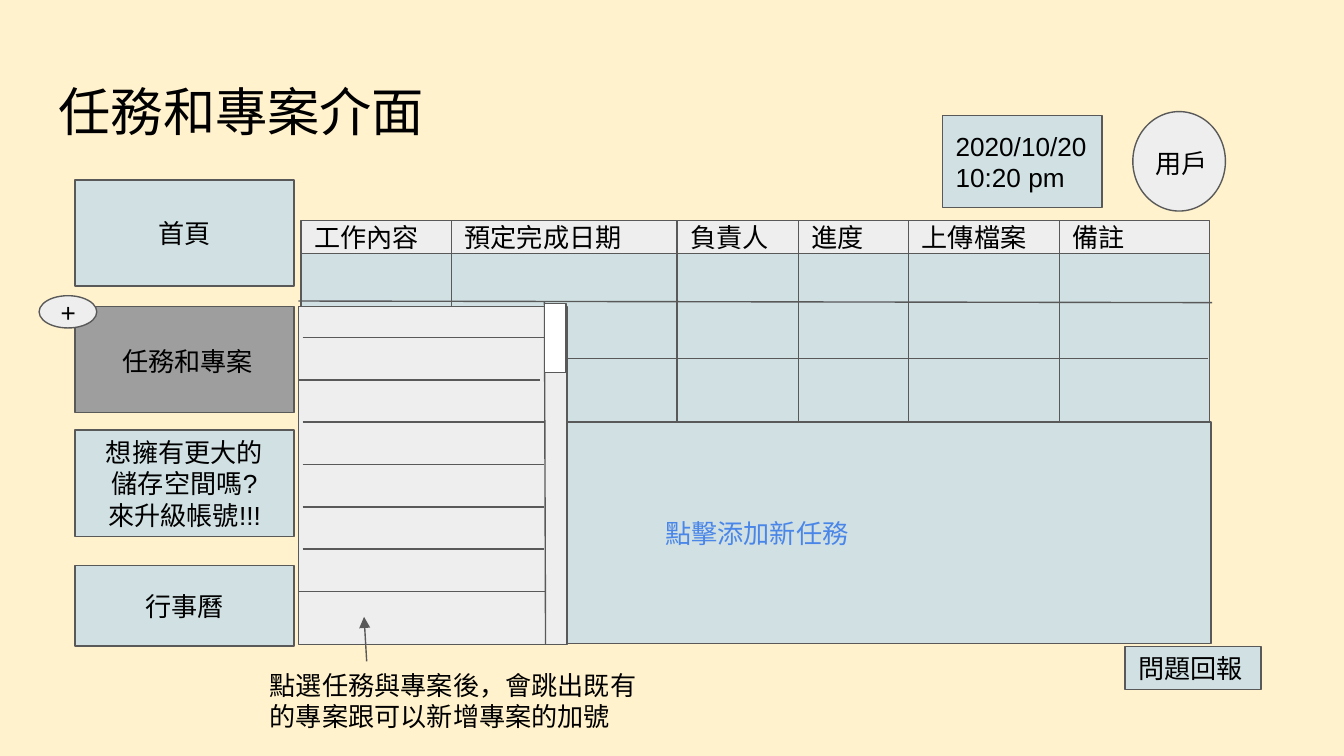
from typing import NamedTuple, Optional

from lxml import etree
from pptx import Presentation
from pptx.dml.color import RGBColor
from pptx.enum.shapes import MSO_CONNECTOR, MSO_SHAPE
from pptx.enum.text import MSO_ANCHOR, PP_ALIGN
from pptx.oxml.ns import qn
from pptx.util import Cm, Pt

RECT, OVAL = MSO_SHAPE.RECTANGLE, MSO_SHAPE.OVAL
LINE = MSO_CONNECTOR.STRAIGHT
LEFT, CENTER = PP_ALIGN.LEFT, PP_ALIGN.CENTER
TOP, MIDDLE = MSO_ANCHOR.TOP, MSO_ANCHOR.MIDDLE

CREAM = RGBColor(0xFF, 0xF2, 0xCC)
TEAL = RGBColor(0xD0, 0xE0, 0xE3)
PALE = RGBColor(0xEE, 0xEE, 0xEE)
GRAY = RGBColor(0x9E, 0x9E, 0x9E)
DARK = RGBColor(0x59, 0x59, 0x59)
WHITE = RGBColor(0xFF, 0xFF, 0xFF)
BLACK = RGBColor(0x00, 0x00, 0x00)
BLUE = RGBColor(0x4A, 0x86, 0xE8)


class Box(NamedTuple):
    """A filled box, or a bare text box when fill is None; lengths in cm."""
    x: float
    y: float
    w: float
    h: float
    text: str = ""
    fill: Optional[RGBColor] = TEAL
    align: PP_ALIGN = LEFT
    color: RGBColor = BLACK
    kind: MSO_SHAPE = RECT
    size: int = 14
    font: str = "Arial"


class Rule(NamedTuple):
    """A straight line; ends in cm."""
    x1: float
    y1: float
    x2: float
    y2: float
    arrow: bool = False


def draw_box(shapes, box: Box) -> None:
    area = [Cm(v) for v in box[:4]]
    if box.fill is None:
        shape = shapes.add_textbox(*area)
    else:
        shape = shapes.add_shape(box.kind, *area)
        shape.shadow.inherit = False
        shape.fill.solid()
        shape.fill.fore_color.rgb = box.fill
        shape.line.color.rgb = DARK
        shape.line.width = Pt(0.75)
    if not box.text:
        return
    frame = shape.text_frame
    frame.word_wrap = True
    frame.vertical_anchor = TOP if box.fill is None else MIDDLE
    frame.margin_left = frame.margin_right = Cm(0.25)
    frame.margin_top = frame.margin_bottom = Cm(0.25)
    frame.text = box.text
    for para in frame.paragraphs:
        para.alignment = box.align
        para.font.name = box.font
        para.font.size = Pt(box.size)
        para.font.color.rgb = box.color


def draw_rule(shapes, rule: Rule) -> None:
    line = shapes.add_connector(LINE, *[Cm(v) for v in rule[:4]])
    line.line.color.rgb = DARK
    line.line.width = Pt(0.75)
    if rule.arrow:
        etree.SubElement(line.line._get_or_add_ln(), qn("a:tailEnd"), type="triangle")
    etree.SubElement(line._element.spPr, qn("a:effectLst"))


def draw(shapes, items: list) -> None:
    for item in items:
        if isinstance(item, Box):
            draw_box(shapes, item)
        else:
            draw_rule(shapes, item)


# Task table: one header and one body per column
HEADS = ["工作內容", "預定完成日期", "負責人", "進度", "上傳檔案", "備註"]
EDGES = [5.69, 8.53, 12.8, 15.09, 17.17, 20.02, 22.86]
SPANS = list(zip(EDGES, EDGES[1:]))
GRID = [Box(a, 4.17, b - a, 0.62, head, PALE) for head, (a, b) in zip(HEADS, SPANS)]
GRID += [Box(a, 4.79, b - a, 7.3) for a, b in SPANS]
GRID += [
    Rule(5.64, 5.69, 22.91, 5.72),
    Rule(5.72, 6.78, 22.83, 6.78),
    Rule(5.69, 7.98, 22.86, 7.98),
]

# Side menu
SIDE, WIDE = 1.42, 4.14
MENU = [
    Box(SIDE, 5.79, WIDE, 2.01, fill=GRAY),
    Box(2.06, 6.27, 3.12, 1.52, "任務和專案", None, font="Lato"),
    Box(SIDE, 8.13, WIDE, 2.01, "想擁有更大的\n儲存空間嗎?\n來升級帳號!!!", align=CENTER),
    Box(SIDE, 10.69, WIDE, 1.52, "行事曆", align=CENTER),
    Box(SIDE, 3.4, WIDE, 2.01, "首頁", align=CENTER),
    Box(0.74, 5.59, 1.09, 0.61, "+", PALE, kind=OVAL),
]

# Clock, user and report button
TOOLS = [
    Box(21.26, 12.22, 2.57, 0.81, "問題回報"),
    Box(21.41, 2.11, 1.75, 1.88, fill=PALE, kind=OVAL),
    Box(21.59, 2.54, 2.5, 1.88, "用戶", None, font="Lato"),
    Box(17.81, 2.18, 3.02, 1.75, "2020/10/20\n10:20 pm"),
]

# Project list with its scroll bar, over the area for new tasks
LIST = [
    Box(5.72, 7.98, 17.17, 4.19, "點擊添加新任務", align=CENTER, color=BLUE),
    Box(5.64, 5.79, 5.08, 6.4, fill=PALE),
    Rule(10.29, 5.69, 10.31, 12.17),
    Box(10.29, 5.74, 0.41, 1.3, fill=WHITE),
]
ENDS = {1: (5.64, 10.21), 6: (5.64, 10.31)}
for i in range(7):
    start, stop = ENDS.get(i, (5.72, 10.29))
    y = 6.38 + 0.8 * i
    LIST.append(Rule(start, y, stop, y))

# Title and note
WORDS = [
    Rule(6.93, 12.5, 6.88, 11.66, arrow=True),
    Box(4.85, 12.4, 7.85, 1.3, "點選任務與專案後，會跳出既有的專案跟可以新增專案的加號", None),
    Box(0.86, 1.24, 23.67, 1.6, "任務和專案介面", None, size=28),
]


def main() -> None:
    deck = Presentation()
    deck.slide_width, deck.slide_height = Cm(25.4), Cm(14.29)
    slide = deck.slides.add_slide(deck.slide_layouts[6])
    slide.background.fill.solid()
    slide.background.fill.fore_color.rgb = CREAM
    for part in (TOOLS, GRID, MENU, LIST, WORDS):
        draw(slide.shapes, part)
    deck.save("out.pptx")


if __name__ == "__main__":
    main()
